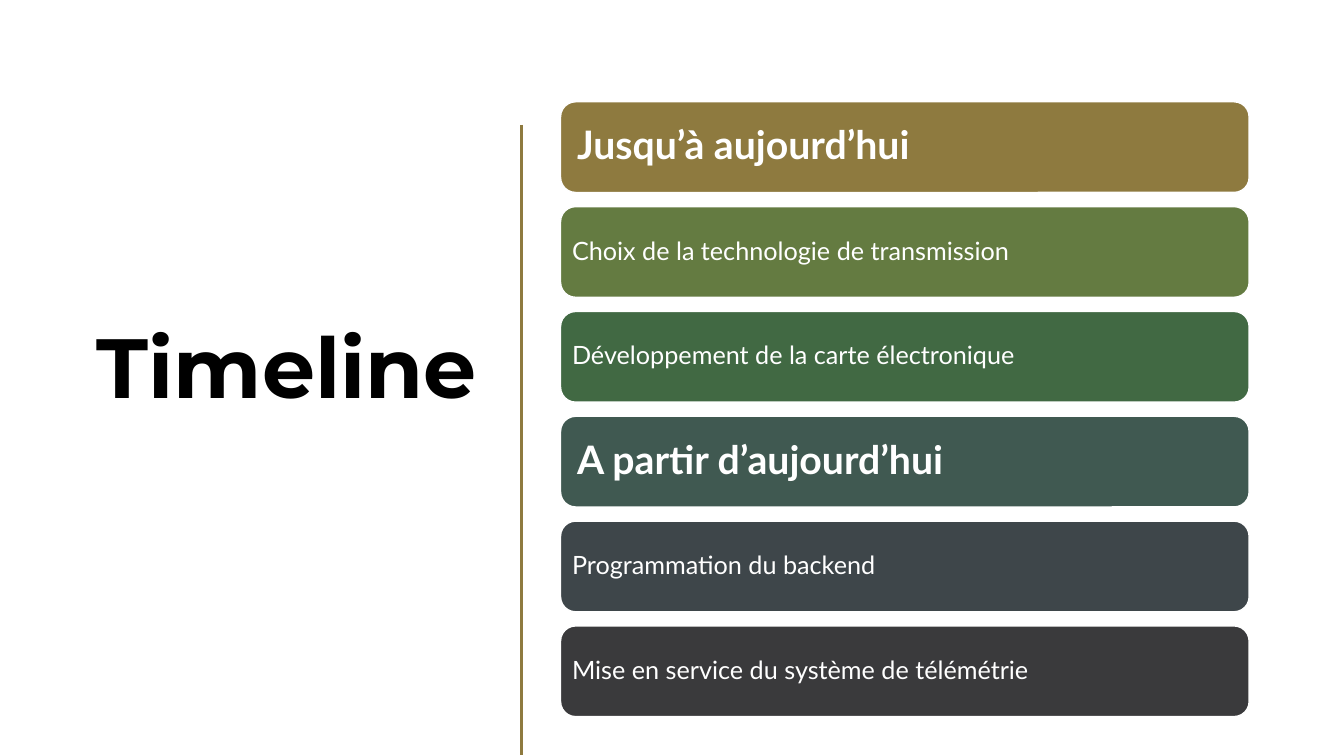
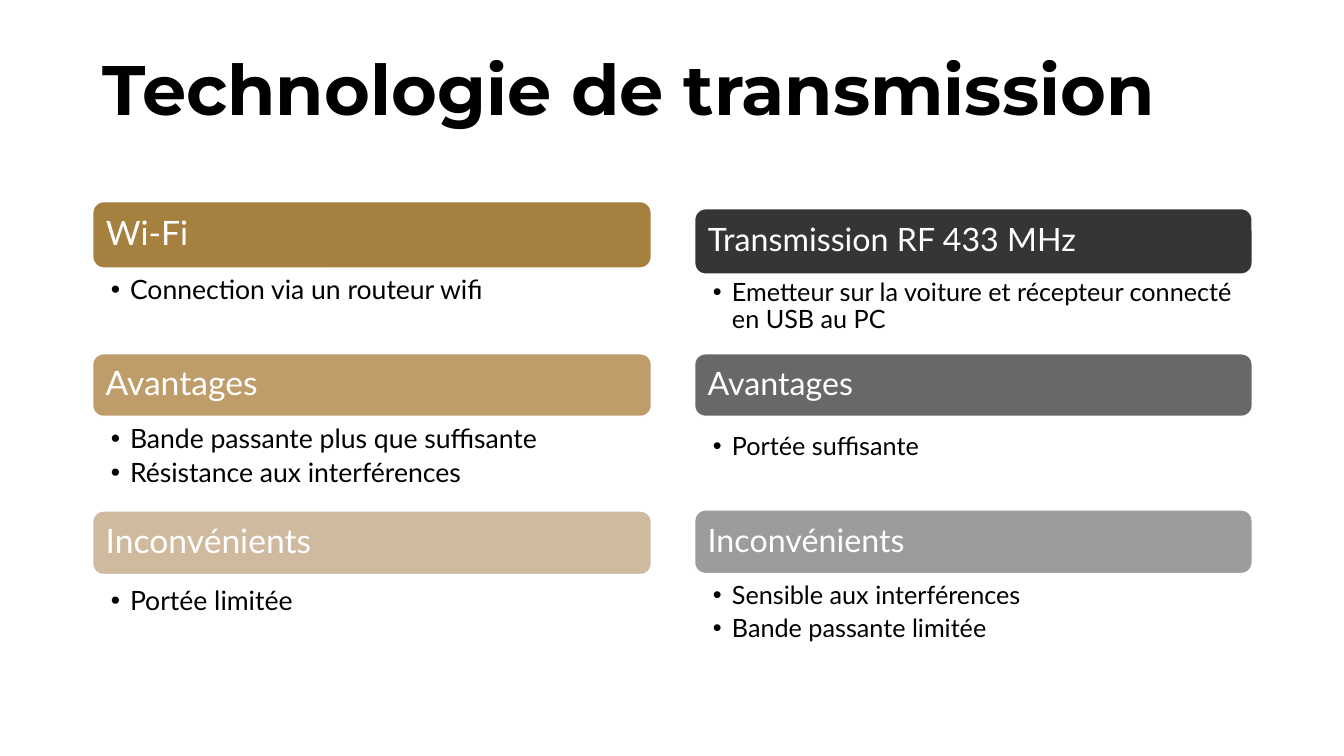
import pptx
import pptx.dml.color
import pptx.enum.shapes
import pptx.enum.text
import pptx.oxml.ns
import pptx.util
import lxml.etree

ALIGN = pptx.enum.text.PP_ALIGN
ANCHOR = pptx.enum.text.MSO_ANCHOR


class Deck:
    """Holds the shared style and the current slide, and draws each kind of element."""

    PX = 9144
    COLORS = {
        "white": "FFFFFF", "black": "000000", "olive": "8E7A3F",
        "moss": "647B41", "green": "416943", "teal": "405951",
        "slate": "3E464A", "charcoal": "3A3A3C",
        "gold": "A5803E", "sand": "BF9D6A", "beige": "D0BA9F",
        "dark": "353536", "grey": "68686A", "silver": "9C9C9D",
    }
    FONTS = {
        "title": {"name": "Montserrat", "bold": True},
        "heading": {"name": "Lato", "bold": True},
        "body": {"name": "Lato", "bold": False},
    }

    def __init__(self, width, height):
        self.prs = pptx.Presentation()
        self.prs.slide_width = self.px(width)
        self.prs.slide_height = self.px(height)

    def px(self, n):
        return pptx.util.Emu(n * self.PX)

    def rgb(self, name):
        return pptx.dml.color.RGBColor.from_string(self.COLORS[name])

    def new_slide(self):
        self.s = self.prs.slides.add_slide(self.prs.slide_layouts[6])

    def fill_text(self, sp, lines, font, size, color, anchor, margins,
                  align=ALIGN.LEFT, after=0, bullet=False):
        tf = sp.text_frame
        left, top, right, bottom = map(self.px, margins)
        frame = {"word_wrap": True, "vertical_anchor": anchor,
                 "margin_left": left, "margin_top": top,
                 "margin_right": right, "margin_bottom": bottom}
        for key, value in frame.items():
            setattr(tf, key, value)
        for i, line in enumerate(lines):
            p = tf.paragraphs[0] if i == 0 else tf.add_paragraph()
            if bullet:
                self.bullet(p)
            layout = {"alignment": align, "line_spacing": 0.9,
                      "space_after": pptx.util.Pt(after)}
            for key, value in layout.items():
                setattr(p, key, value)
            r = p.add_run()
            r.text = line
            r.font.color.rgb = self.rgb(color)
            style = {**self.FONTS[font], "size": pptx.util.Pt(size)}
            for key, value in style.items():
                setattr(r.font, key, value)

    def bullet(self, p):
        pPr = p._p.get_or_add_pPr()
        indent = self.px(19)
        pPr.set("marL", str(indent))
        pPr.set("indent", str(-indent))
        for tag, key, value in (("a:buFont", "typeface", "Arial"),
                                ("a:buChar", "char", "•")):
            lxml.etree.SubElement(pPr, pptx.oxml.ns.qn(tag)).set(key, value)

    def text(self, box, lines, *args, **kwargs):
        sp = self.s.shapes.add_textbox(*map(self.px, box))
        self.fill_text(sp, lines, *args, **kwargs)

    def title(self, box, text, size, anchor, align=ALIGN.LEFT):
        self.text(box, [text], "title", size, "black", anchor,
                  (10, 5, 10, 5), align=align)

    def bullets(self, box, lines, size):
        self.text(box, lines, "body", size, "black", ANCHOR.TOP,
                  (18, 3, 18, 3), after=4, bullet=True)

    def card(self, box, text, fill, font, size, inset):
        sp = self.s.shapes.add_shape(
            pptx.enum.shapes.MSO_SHAPE.ROUNDED_RECTANGLE, *map(self.px, box))
        sp.shadow.inherit = False
        sp.fill.solid()
        sp.fill.fore_color.rgb = self.rgb(fill)
        sp.line.color.rgb = self.rgb("white")
        sp.line.width = pptx.util.Pt(1)
        self.fill_text(sp, [text], font, size, "white", ANCHOR.MIDDLE, (inset,) * 4)

    def line(self, x1, y1, x2, y2, color, width):
        cx = self.s.shapes.add_connector(
            pptx.enum.shapes.MSO_CONNECTOR.STRAIGHT,
            *map(self.px, (x1, y1, x2, y2)))
        cx.line.color.rgb = self.rgb(color)
        cx.line.width = pptx.util.Pt(width)
        lxml.etree.SubElement(cx._element.spPr, pptx.oxml.ns.qn("a:effectLst"))


def timeline(deck):
    deck.new_slide()
    deck.title((52, 63, 431, 611), "Timeline", 60, ANCHOR.MIDDLE, ALIGN.RIGHT)
    deck.line(517, 124, 517, 749, "olive", 2)
    steps = [
        ("Jusqu’à aujourd’hui", "olive", True),
        ("Choix de la technologie de transmission", "moss", False),
        ("Développement de la carte électronique", "green", False),
        ("A partir d’aujourd’hui", "teal", True),
        ("Programmation du backend", "slate", False),
        ("Mise en service du système de télémétrie", "charcoal", False),
    ]
    for i, (text, fill, major) in enumerate(steps):
        style = ("heading", 28, 12) if major else ("body", 18, 7)
        deck.card((556, 101 + 104 * i, 683, 90), text, fill, *style)


def technology(deck):
    deck.new_slide()
    deck.title((92, 32, 1150, 102), "Technologie de transmission", 50, ANCHOR.BOTTOM)
    columns = [
        (92, 554, 24, 19, [
            ("Wi-Fi", "gold", 200, 66, 271, 91,
             ["Connection via un routeur wifi"]),
            ("Avantages", "sand", 351, 62, 419, 143,
             ["Bande passante plus que suffisante", "Résistance aux interférences"]),
            ("Inconvénients", "beige", 507, 63, 580, 63,
             ["Portée limitée"]),
        ]),
        (689, 553, 23, 18, [
            ("Transmission RF 433 MHz", "dark", 207, 65, 274, 72,
             ["Emetteur sur la voiture et récepteur connecté en USB au PC"]),
            ("Avantages", "grey", 351, 62, 427, 106,
             ["Portée suffisante"]),
            ("Inconvénients", "silver", 506, 63, 575, 116,
             ["Sensible aux interférences", "Bande passante limitée"]),
        ]),
    ]
    for x, width, head_size, body_size, sections in columns:
        for head, fill, top, height, body_top, body_height, lines in sections:
            deck.card((x, top, width, height), head, fill, "body", head_size, 10)
            deck.bullets((x, body_top, width, body_height), lines, body_size)


def main():
    deck = Deck(1333, 750)
    timeline(deck)
    technology(deck)
    deck.prs.save("out.pptx")


if __name__ == "__main__":
    main()
